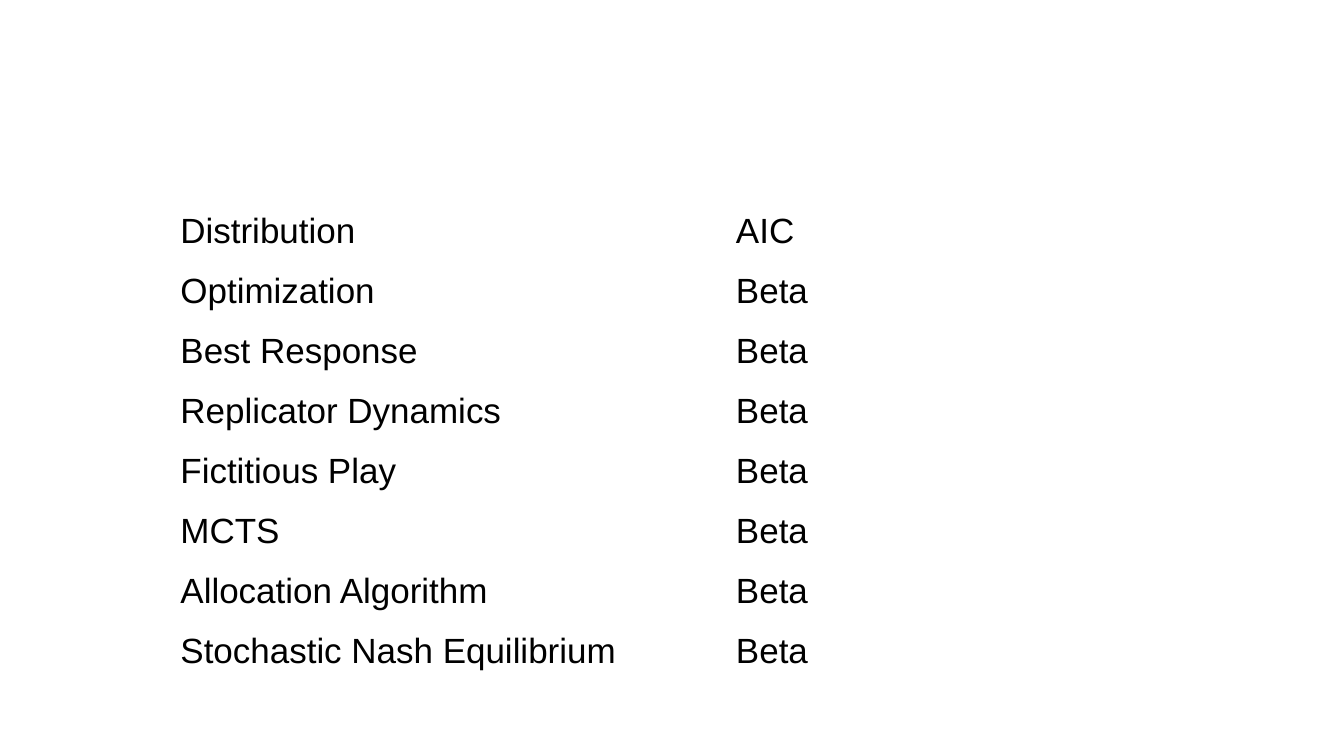
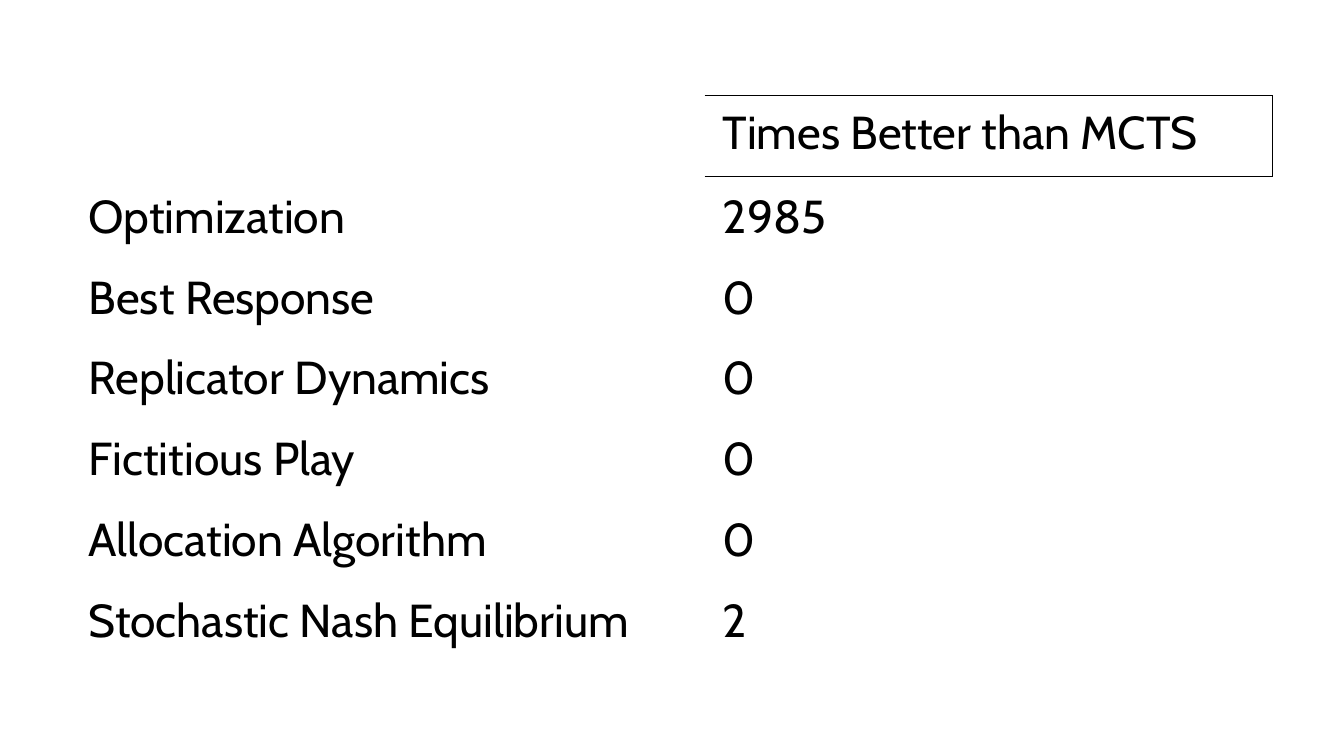
from dataclasses import dataclass

from lxml import etree
from pptx import Presentation
from pptx.dml.color import RGBColor
from pptx.enum.text import MSO_ANCHOR
from pptx.oxml.ns import qn
from pptx.slide import Slide
from pptx.table import Table, _Cell
from pptx.util import Inches, Pt

TOP, MIDDLE = MSO_ANCHOR.TOP, MSO_ANCHOR.MIDDLE
BLACK = RGBColor(0x00, 0x00, 0x00)
BLANK_LAYOUT = 6
NO_STYLE_NO_GRID = "{2D5ABB26-0587-4C30-8999-92F81FD0307C}"
RULE_WIDTH = Pt(1)


@dataclass(frozen=True)
class GridStyle:
    left: float
    top: float
    height: float
    columns: tuple[float, ...]
    font: str
    size: int
    side_margin: float
    edge_margin: float


AIC_STYLE = GridStyle(1.66, 2, 4.76, (5.51, 1.88, 1.31, 1.31), "Arial", 25, 0.13, 0.07)
MCTS_STYLE = GridStyle(0.7, 0.95, 5.61, (6.29, 5.63), "Cabin", 33, 0.18, 0.09)

AIC_ROWS = [
    ("Distribution", "AIC"),
    ("Optimization", "Beta"),
    ("Best Response", "Beta"),
    ("Replicator Dynamics", "Beta"),
    ("Fictitious Play", "Beta"),
    ("MCTS", "Beta"),
    ("Allocation Algorithm", "Beta"),
    ("Stochastic Nash Equilibrium", "Beta"),
]
MCTS_ROWS = [
    ("", "Times Better than MCTS"),
    ("Optimization", "2985"),
    ("Best Response", "0"),
    ("Replicator Dynamics", "0"),
    ("Fictitious Play", "0"),
    ("Allocation Algorithm", "0"),
    ("Stochastic Nash Equilibrium", "2"),
]


def write_cell(cell: _Cell, text: str, style: GridStyle) -> None:
    cell_format = {
        "margin_left": Inches(style.side_margin),
        "margin_right": Inches(style.side_margin),
        "margin_top": Inches(style.edge_margin),
        "margin_bottom": Inches(style.edge_margin),
        "vertical_anchor": MIDDLE,
    }
    for attribute, value in cell_format.items():
        setattr(cell, attribute, value)
    cell.text = text
    font = cell.text_frame.paragraphs[0].font
    for attribute, value in {"name": style.font, "size": Pt(style.size)}.items():
        setattr(font, attribute, value)
    font.color.rgb = BLACK
    cell.fill.background()


def add_rules(cell: _Cell, sides: str) -> None:
    """Draw black borders on the given sides, in schema order L, R, T, B."""
    properties = cell._tc.get_or_add_tcPr()
    for position, side in enumerate(sides):
        line = etree.Element(qn(f"a:ln{side}"), w=str(RULE_WIDTH))
        fill = etree.SubElement(line, qn("a:solidFill"))
        etree.SubElement(fill, qn("a:srgbClr"), val=str(BLACK))
        properties.insert(position, line)


def add_grid(slide: Slide, rows: list[tuple[str, str]], style: GridStyle) -> Table:
    table = slide.shapes.add_table(
        len(rows), len(style.columns), Inches(style.left), Inches(style.top),
        Inches(sum(style.columns)), Inches(style.height),
    ).table
    table.first_row = table.horz_banding = False
    table._tbl.tblPr.find(qn("a:tableStyleId")).text = NO_STYLE_NO_GRID
    for column, width in zip(table.columns, style.columns):
        column.width = Inches(width)
    for row_index, row in enumerate(rows):
        table.rows[row_index].height = Inches(style.height / len(rows))
        for column_index in range(len(style.columns)):
            text = row[column_index] if column_index < len(row) else ""
            write_cell(table.cell(row_index, column_index), text, style)
    return table


def main() -> None:
    presentation = Presentation()
    presentation.slide_width = Inches(13.33)
    presentation.slide_height = Inches(7.5)
    blank = presentation.slide_layouts[BLANK_LAYOUT]

    add_grid(presentation.slides.add_slide(blank), AIC_ROWS, AIC_STYLE)

    comparison = add_grid(presentation.slides.add_slide(blank), MCTS_ROWS, MCTS_STYLE)
    heading = comparison.cell(0, 1)
    heading.vertical_anchor = TOP
    add_rules(heading, "RTB")

    presentation.save("out.pptx")


if __name__ == "__main__":
    main()
